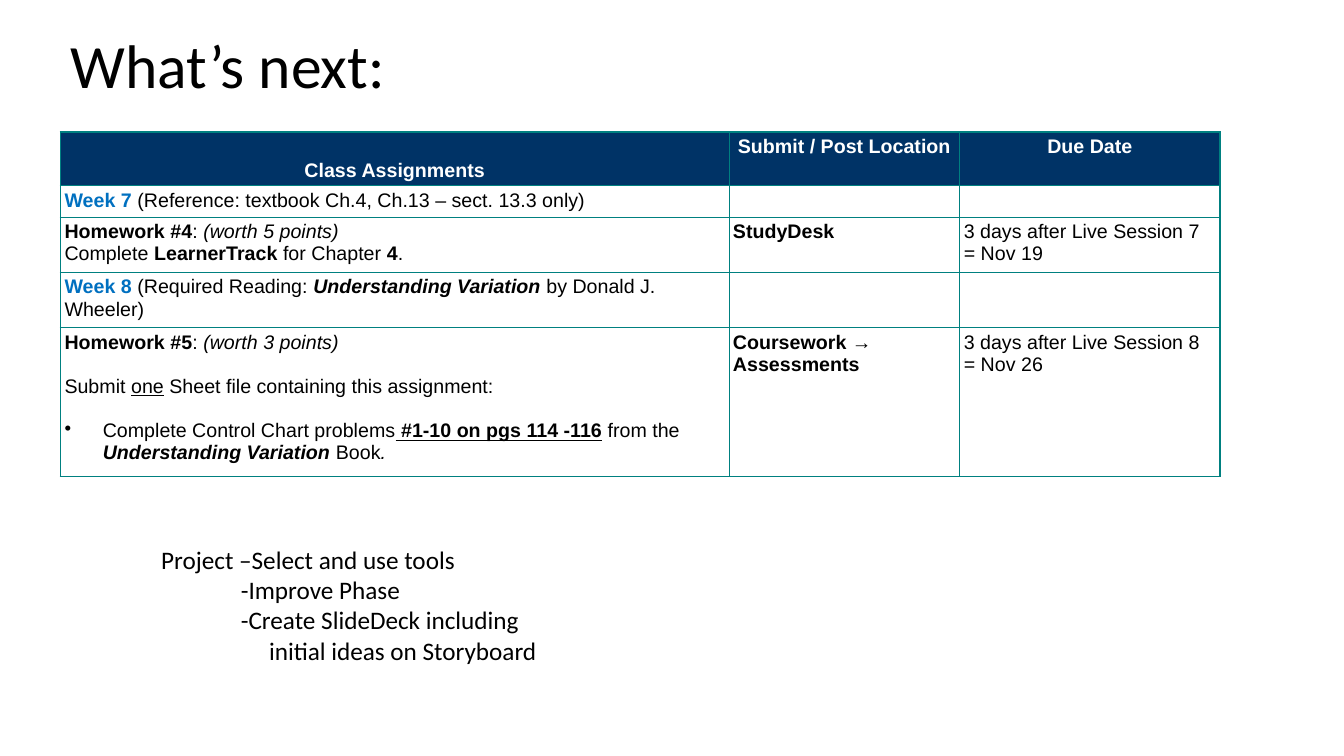
"""Build the "What's next" slide with its assignment table and project notes."""
from lxml import etree
from pptx import Presentation
from pptx.dml.color import RGBColor
from pptx.enum.text import MSO_ANCHOR, PP_ALIGN
from pptx.oxml.ns import qn
from pptx.util import Inches, Pt

CENTER, LEFT = PP_ALIGN.CENTER, PP_ALIGN.LEFT
TOP, MIDDLE, BOTTOM = MSO_ANCHOR.TOP, MSO_ANCHOR.MIDDLE, MSO_ANCHOR.BOTTOM

TITLE = "What’s next:"
HEADERS = ["Class Assignments", "Submit / Post Location", "Due Date"]

# Runs are (text, style): b bold, i italic, u underlined, a accent colour.
WEEK_7 = [{"runs": [("Week 7 ", "ba"),
                    ("(Reference: textbook Ch.4, Ch.13 – sect. 13.3 only)", "")]}]
HOMEWORK_4 = [
    {"runs": [("Homework #4", "b"), (": ", ""), ("(worth 5 points)", "i")]},
    {"runs": [("Complete ", ""), ("LearnerTrack", "b"), (" for Chapter ", ""),
              ("4", "b"), (".", "")]},
]
WEEK_8 = [{"runs": [("Week 8", "ba"), (" (Required Reading: ", ""),
                    ("Understanding Variation", "bi"),
                    (" by Donald J. Wheeler)", "")]}]
HOMEWORK_5 = [
    {"runs": [("Homework #5", "b"), (": ", ""), ("(worth 3 points)", "i")]},
    {"runs": [("Submit ", ""), ("one", "u"),
              (" Sheet file containing this assignment:", "")], "before": 16},
    {"runs": [("Complete Control Chart problems", ""),
              (" #1-10 on pgs 114 -116", "bu"), (" from the ", ""),
              ("Understanding Variation ", "bi"), ("Book", ""), (".", "i")],
     "before": 16, "bullet": "•", "margin": 0.38, "hanging": 0.38},
]
EMPTY = [{"runs": []}]
ASSIGNMENTS = [
    [WEEK_7, EMPTY, EMPTY],
    [HOMEWORK_4, [{"runs": [("StudyDesk", "b")]}],
     [{"runs": [("3 days after Live Session 7 = Nov 19", "")]}]],
    [WEEK_8, EMPTY, EMPTY],
    [HOMEWORK_5, [{"runs": [("Coursework → Assessments", "b")]}],
     [{"runs": [("3 days after Live Session 8 = Nov 26", "")]}]],
]
PROJECT = [("Project –Select and use tools", 0), ("-Improve Phase", 0.79),
           ("-Create SlideDeck including", 0.79),
           ("initial ideas on Storyboard", 1.07)]

COLUMN_WIDTHS = [6.63, 2.29, 2.58]
ROW_HEIGHTS = [0.53, 0.31, 0.54, 0.53, 1.48]
CELL_INSET = 0.04
THEME = {
    "heading_font": "Calibri", "table_font": "Arial",
    "title_size": 44, "table_size": 14, "project_size": 18,
    "ink": "000000", "header_ink": "FFFFFF", "header_fill": "003366",
    "accent": "0070C0", "border": "008080", "outer_line": 1.5, "inner_line": 0.75,
}


def write(frame, paragraphs, *, font, size, color=THEME["ink"], align=LEFT,
          spacing=None):
    """Fill a text frame with formatted paragraphs."""
    frame.word_wrap = True
    for index, content in enumerate(paragraphs):
        paragraph = frame.paragraphs[0] if index == 0 else frame.add_paragraph()
        properties = paragraph._p.get_or_add_pPr()
        if "margin" in content:
            properties.set("marL", str(Inches(content["margin"])))
            properties.set("indent", str(-Inches(content.get("hanging", 0))))
        if "bullet" in content:
            etree.SubElement(properties, qn("a:buChar"), char=content["bullet"])
        paragraph.alignment = align
        if spacing:
            paragraph.line_spacing = spacing
        if "before" in content:
            paragraph.space_before = Pt(content["before"])
        for text, style in content["runs"]:
            run = paragraph.add_run()
            run.text = text
            run.font.name, run.font.size = font, Pt(size)
            run.font.bold, run.font.italic = "b" in style, "i" in style
            run.font.underline = "u" in style
            run.font.color.rgb = RGBColor.from_string(
                THEME["accent"] if "a" in style else color)
        if not content["runs"]:
            etree.SubElement(paragraph._p, qn("a:endParaRPr"), sz=str(size * 100))


def draw_borders(cell, outer_sides):
    """Outline a cell, with heavier lines on the table's outer sides."""
    properties = cell._tc.get_or_add_tcPr()
    for side in "LRTB":
        weight = THEME["outer_line" if side in outer_sides else "inner_line"]
        line = etree.SubElement(properties, qn(f"a:ln{side}"), w=str(Pt(weight)))
        fill = etree.SubElement(line, qn("a:solidFill"))
        etree.SubElement(fill, qn("a:srgbClr"), val=THEME["border"])


def add_assignments(slide):
    """Add the assignment table."""
    header = [[{"runs": [(name, "b")]}] for name in HEADERS]
    rows = [header] + ASSIGNMENTS
    last_row, last_column = len(rows) - 1, len(HEADERS) - 1
    table = slide.shapes.add_table(
        len(rows), len(HEADERS), Inches(0.6), Inches(1.31),
        Inches(sum(COLUMN_WIDTHS)), Inches(sum(ROW_HEIGHTS))).table
    table.first_row = table.horz_banding = False
    for column, width in zip(table.columns, COLUMN_WIDTHS):
        column.width = Inches(width)
    for row, height in zip(table.rows, ROW_HEIGHTS):
        row.height = Inches(height)
    for r, row in enumerate(rows):
        for c, paragraphs in enumerate(row):
            cell = table.cell(r, c)
            is_header = r == 0
            cell.margin_left = cell.margin_right = Inches(CELL_INSET)
            cell.margin_top = cell.margin_bottom = Inches(CELL_INSET)
            cell.vertical_anchor = BOTTOM if is_header and c == 0 else TOP
            edges = {"L": c == 0, "R": c == last_column,
                     "T": is_header, "B": r == last_row}
            draw_borders(cell, [side for side, outer in edges.items() if outer])
            if is_header:
                cell.fill.solid()
                cell.fill.fore_color.rgb = RGBColor.from_string(THEME["header_fill"])
            else:
                cell.fill.background()
            write(cell.text_frame, paragraphs, font=THEME["table_font"],
                  size=THEME["table_size"],
                  color=THEME["header_ink" if is_header else "ink"],
                  align=CENTER if is_header else LEFT)


def main():
    """Assemble and save the slide."""
    deck = Presentation()
    deck.slide_width, deck.slide_height = Inches(13.33), Inches(7.5)
    slide = deck.slides.add_slide(deck.slide_layouts[6])
    title = slide.shapes.add_textbox(
        Inches(0.6), Inches(-0.05), Inches(11.5), Inches(1.45)).text_frame
    title.vertical_anchor = MIDDLE
    write(title, [{"runs": [(TITLE, "")]}], font=THEME["heading_font"],
          size=THEME["title_size"], spacing=0.9)
    project = slide.shapes.add_textbox(
        Inches(1.5), Inches(5.35), Inches(4.49), Inches(1.31)).text_frame
    write(project, [{"runs": [(line, "")], "margin": margin}
                    for line, margin in PROJECT],
          font=THEME["heading_font"], size=THEME["project_size"])
    add_assignments(slide)
    deck.save("out.pptx")


if __name__ == "__main__":
    main()
